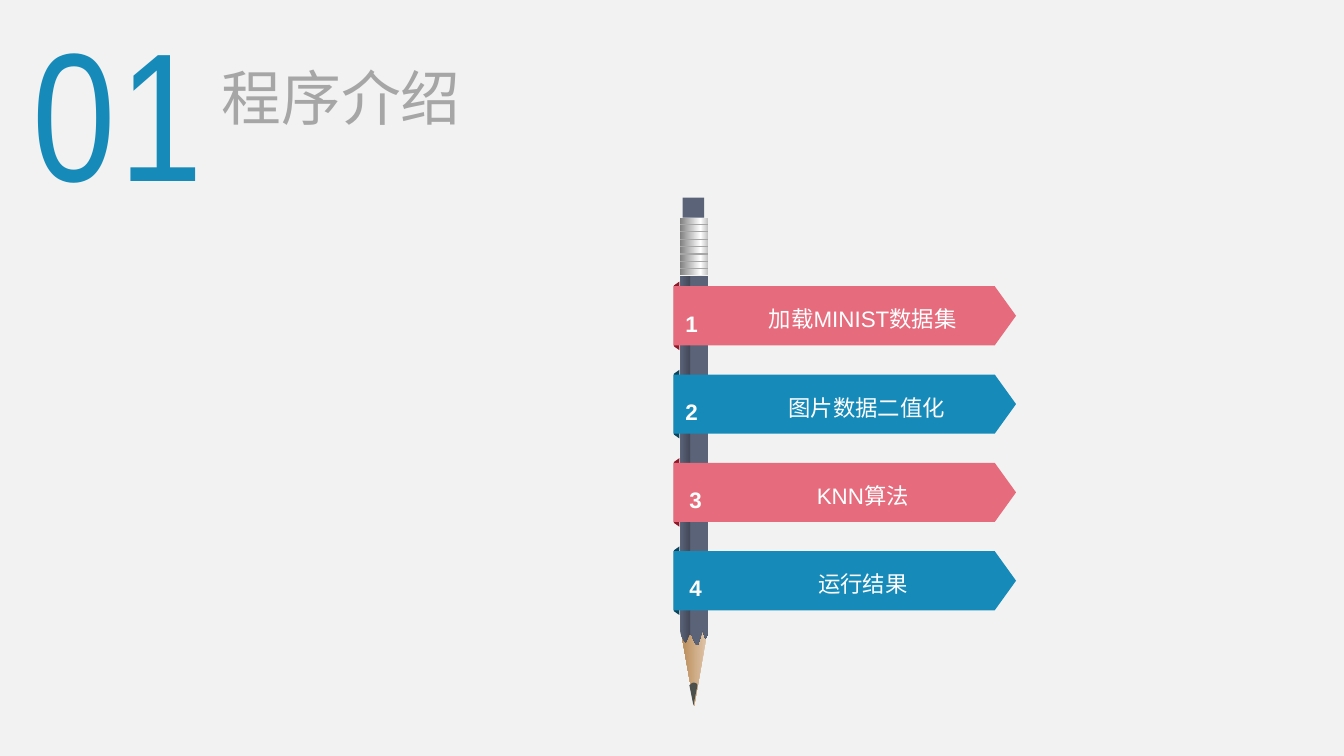
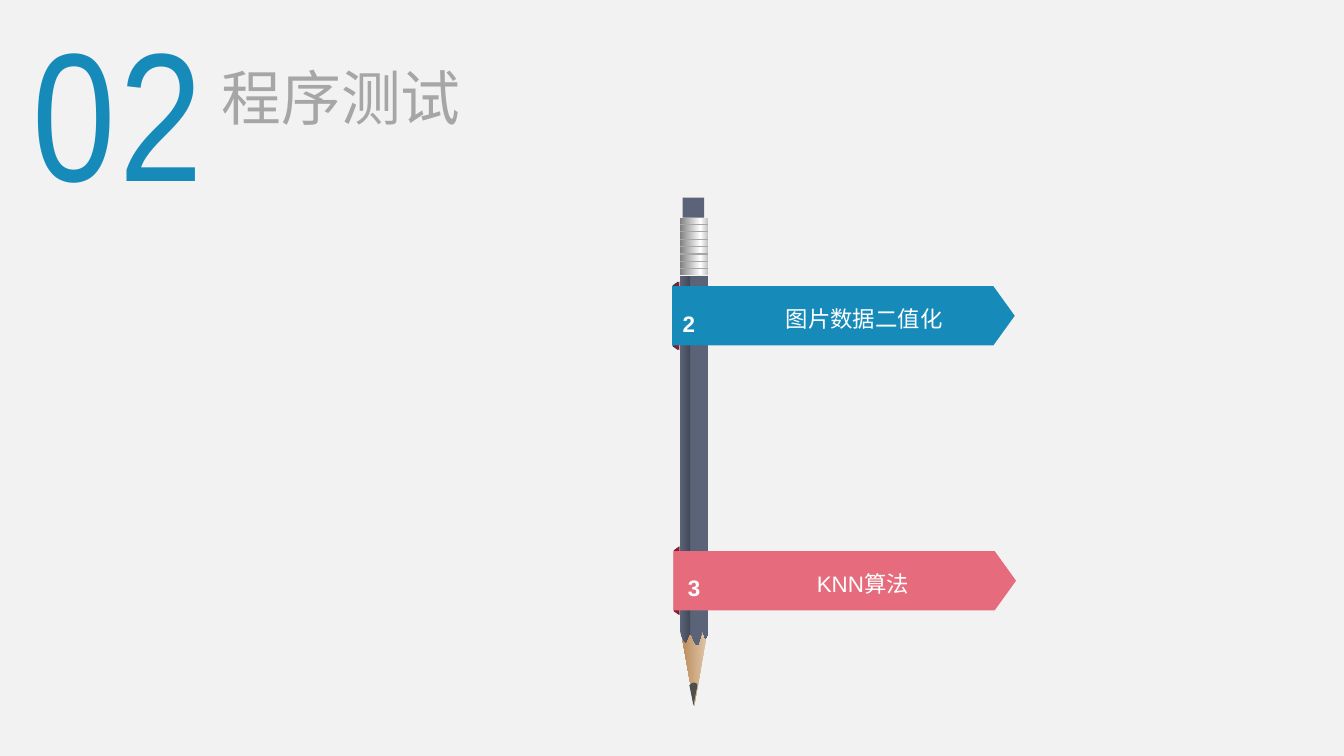
from lxml import etree
from pptx import Presentation
from pptx.dml.color import RGBColor
from pptx.enum.shapes import MSO_CONNECTOR, MSO_SHAPE
from pptx.enum.text import MSO_ANCHOR, MSO_AUTO_SIZE, PP_ALIGN
from pptx.oxml.ns import qn
from pptx.util import Emu, Inches, Pt

RECT, PLATE, TRAP = MSO_SHAPE.RECTANGLE, MSO_SHAPE.PENTAGON, MSO_SHAPE.TRAPEZOID
LINE = MSO_CONNECTOR.STRAIGHT
LEFT, MID = PP_ALIGN.LEFT, PP_ALIGN.CENTER
TOP, GROW = MSO_ANCHOR.TOP, MSO_AUTO_SIZE.SHAPE_TO_FIT_TEXT

COLS, ROWS = 100, 56.25
CELL = Inches(10) / COLS

PAPER, GREY, WHITE = "F2F2F2", "A6A6A6", "FFFFFF"
BLUE, ROSE = "168BBA", "E66C7D"
NAVY, WINE = "0B455D", "901929"
SLATE, LEAD = "5A6378", "4C504C"
WOOD = [(0, "E1C9AF"), (100, "B88954")]
METAL = [(0, "BFBFBF"), (27, WHITE), (100, "808080")]
PAINT = [(0, SLATE), (34, "444A5A"), (38, SLATE), (100, SLATE)]

BODY = [(50.6, 20.5), (52.7, 20.5), (52.7, 46.6),
        (52.7, 47.1, 52.6, 47.4, 52.5, 47.5),
        (52.3, 47.3, 52.4, 46.8, 52.3, 46.9),
        (52.2, 47, 52, 48, 51.9, 48),
        (51.7, 48, 51.5, 47.2, 51.4, 47.2),
        (51.2, 47.1, 51.1, 47.9, 51, 47.8),
        (50.8, 47.6, 50.6, 47.2, 50.6, 46.8)]
POINT = [(51.6, 50.8), (51.8, 50.8, 51.9, 50.9, 51.9, 51),
         (51.6, 52.5), (51.3, 51), (51.4, 50.9, 51.5, 50.8, 51.6, 50.8)]

FIRST, STEP = 21.3, 6.57


def grid(size):
    return Emu(round(size * CELL))


def ink(code):
    return RGBColor.from_string(code)


def trace(parts, steps=8):
    pts = []
    for part in parts:
        if len(part) == 2:
            pts.append(part)
            continue
        ends = [pts[-1], part[:2], part[2:4], part[4:]]
        for n in range(1, steps + 1):
            t = n / steps
            mix = ((1 - t) ** 3, 3 * t * (1 - t) ** 2, 3 * t * t * (1 - t), t ** 3)
            pts.append(tuple(sum(m * e[k] for m, e in zip(mix, ends)) for k in (0, 1)))
    return pts


class Deck:
    def __init__(self):
        self.show = Presentation()
        self.show.slide_width = grid(COLS)
        self.show.slide_height = grid(ROWS)
        self.page = None

    def add(self):
        self.page = self.show.slides.add_slide(self.show.slide_layouts[5])
        back = self.page.background.fill
        back.solid()
        back.fore_color.rgb = ink(PAPER)

    def paint(self, shape, tone, angle=0):
        shape.shadow.inherit = False
        shape.line.fill.background()
        if isinstance(tone, str):
            shape.fill.solid()
            shape.fill.fore_color.rgb = ink(tone)
            return
        shape.fill.gradient()
        grad = shape._element.spPr.find(qn("a:gradFill"))
        stops = grad.find(qn("a:gsLst"))
        for old in list(stops):
            stops.remove(old)
        for pos, code in tone:
            stop = etree.SubElement(stops, qn("a:gs"), pos=str(pos * 1000))
            etree.SubElement(stop, qn("a:srgbClr"), val=code)
        grad.find(qn("a:lin")).set("ang", str(angle * 60000))

    def shape(self, kind, box, tone, turn=0, adj=None, angle=0):
        item = self.page.shapes.add_shape(kind, *map(grid, box))
        item.rotation = turn
        if adj is not None:
            item.adjustments[0] = adj
        self.paint(item, tone, angle)

    def free(self, parts, tone):
        pts = [(grid(x), grid(y)) for x, y in trace(parts)]
        pen = self.page.shapes.build_freeform(*pts[0])
        pen.add_line_segments(pts[1:], close=True)
        self.paint(pen.convert_to_shape(), tone)

    def line(self, left, right, y, tone):
        item = self.page.shapes.add_connector(
            LINE, grid(left), grid(y), grid(right), grid(y))
        item.line.color.rgb = ink(tone)
        item.line.width = Pt(0.75)
        etree.SubElement(item._element.spPr, qn("a:effectLst"))

    def style(self, item, text, size, tone, face="Arial", bold=False,
              align=MID, inset=(1, 0.5), wrap=True):
        frame = item.text_frame
        frame.text = text
        frame.word_wrap = wrap
        frame.auto_size = GROW
        frame.vertical_anchor = TOP
        frame.margin_left = frame.margin_right = grid(inset[0])
        frame.margin_top = frame.margin_bottom = grid(inset[1])
        para = frame.paragraphs[0]
        para.alignment = align
        font = para.runs[0].font
        font.size, font.name, font.bold = Pt(size), face, bold
        font.color.rgb = ink(tone)
        return para

    def text(self, box, text, size, tone, **looks):
        item = self.page.shapes.add_textbox(*map(grid, box))
        return self.style(item, text, size, tone, **looks)

    def head(self, mark, name):
        title = self.page.shapes.title
        title.left, title.top, title.width, title.height = map(
            grid, (16.5, 4.5, 30.8, 5.4))
        self.style(title, name, 32, GREY, align=LEFT, inset=(0, 0))
        para = self.text((0.2, -0.5, 17.1, 17.2), mark, 98, BLUE,
                         face="Arial Narrow", inset=(0.7, 0.4))
        para.runs[0]._r.get_or_add_rPr().set("spc", "210")
        gap = etree.SubElement(para._p.get_or_add_pPr(), qn("a:spcBef"))
        etree.SubElement(gap, qn("a:spcPct"), val="20000")

    def pencil(self):
        self.shape(PLATE, (48.7, 48.5, 5.9, 2.1), WOOD, 90, 2.82, 90)
        self.free(BODY, PAINT)
        self.shape(RECT, (50.6, 16.2, 2.1, 4.3), METAL, angle=180)
        self.shape(RECT, (50.8, 14.7, 1.6, 1.5), SLATE)
        self.free(POINT, LEAD)
        for n in range(7):
            self.line(50.6, 52.7, 16.7 + 0.55 * n, GREY)

    def fold(self, x, row, tone):
        self.shape(TRAP, (x - 2.3, FIRST + STEP * row + 2, 5.1, 0.4), tone, 270, 0.7)

    def band(self, x, row, tone, mark, name, shift, slide):
        y = FIRST + STEP * row
        self.shape(PLATE, (x, y, 25.5, 4.4), tone, adj=0.36)
        spots = [((x + shift, y + 0.85, 2.9, 3.2), mark, True, False),
                 ((x + slide, y + 0.55, 17, 3.2), name, False, True)]
        for box, text, bold, wrap in spots:
            para = self.text(box, text, 12, WHITE, bold=bold, wrap=wrap)
            para.line_spacing = 1.2


PAGES = [
    ("01", "程序介绍",
     [(50.1, 3, NAVY), (50.1, 2, WINE), (50.1, 1, NAVY), (50.1, 0, WINE)],
     [(50.1, 0, ROSE, "1", "加载MINIST数据集", -0.1, 5.6),
      (50.1, 1, BLUE, "2", "图片数据二值化", -0.1, 5.9),
      (50.1, 2, ROSE, "3", "KNN算法", 0.2, 5.6),
      (50.1, 3, BLUE, "4", "运行结果", 0.2, 5.6)]),
    ("02", "程序测试",
     [(50.1, 3, NAVY), (50.1, 3, WINE), (50, 0, NAVY), (50.1, 0, WINE)],
     [(50, 0, BLUE, "2", "图片数据二值化", -0.2, 5.8),
      (50.1, 3, ROSE, "3", "KNN算法", 0.1, 5.6)]),
]


def main():
    deck = Deck()
    for mark, name, folds, bands in PAGES:
        deck.add()
        deck.pencil()
        for fold in folds:
            deck.fold(*fold)
        for band in bands:
            deck.band(*band)
        deck.head(mark, name)
    deck.show.save("out.pptx")


if __name__ == "__main__":
    main()
